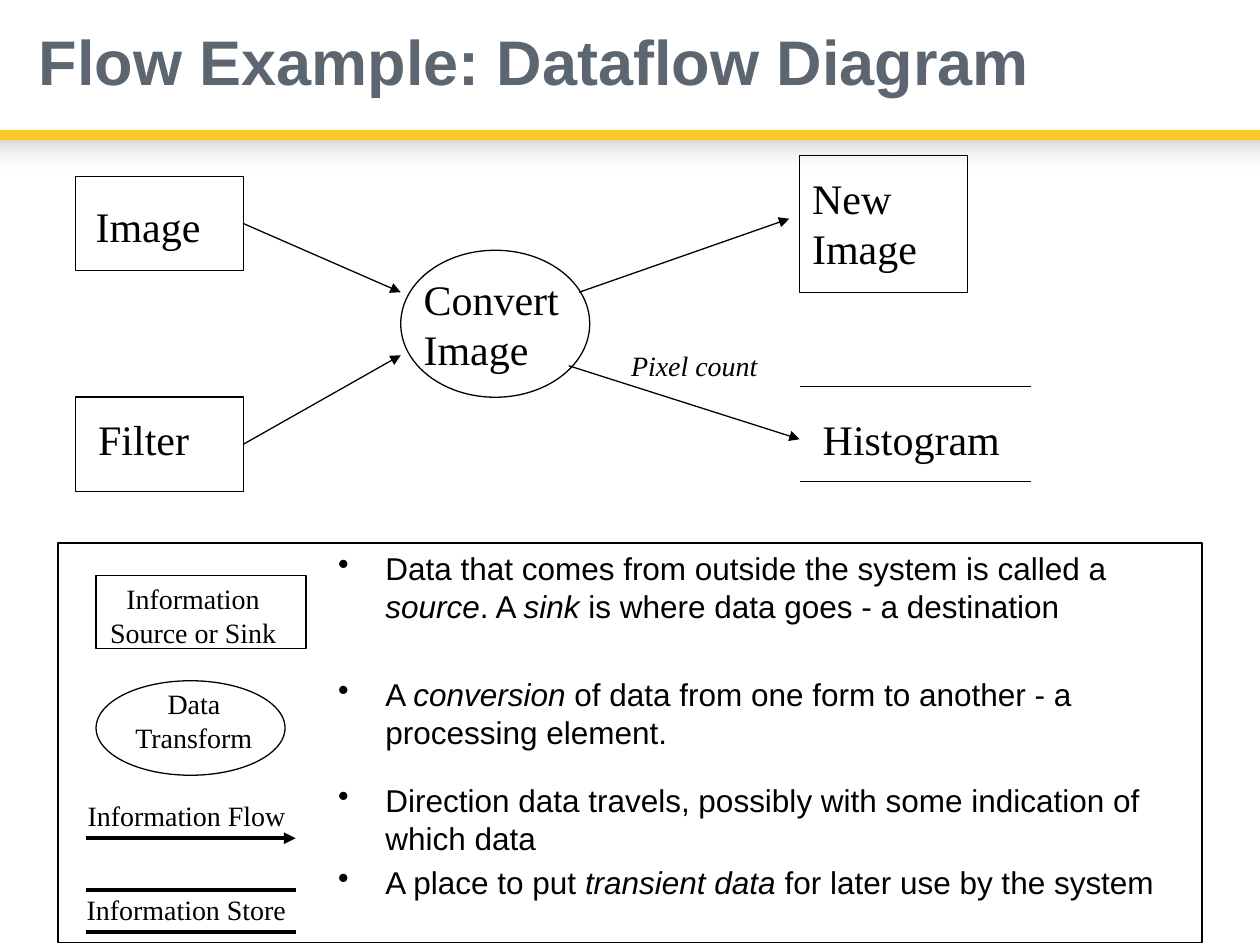
"""Build a slide that explains a dataflow diagram and its notation."""
import pptx
import pptx.dml.color
import pptx.enum.shapes
import pptx.enum.text
import pptx.oxml.xmlchemy
import pptx.util

Pt = pptx.util.Pt
SHAPES = pptx.enum.shapes.MSO_SHAPE
ALIGN = pptx.enum.text.PP_ALIGN
ANCHOR = pptx.enum.text.MSO_ANCHOR

BLACK, GOLD, SLATE, SHADE, WHITE = "000000", "FFC627", "5C6670", "D9D9D9", "FFFFFF"
SANS, SERIF = "Arial", "Times New Roman"

TITLE = "Flow Example: Dataflow Diagram"
LEGEND_FRAME = (33.1, 310.3, 653.8, 228.2)
BULLETS = [
    (0, [("Data that comes from outside the system is called a ", False),
         ("source", True), (". A ", False), ("sink", True),
         (" is where data goes - a destination", False)]),
    (28.8, [("A ", False), ("conversion", True),
            (" of data from one form to another - a processing element.", False)]),
    (17.2, [("Direction data travels, possibly with some indication of which data", False)]),
    (3.6, [("A place to put ", False), ("transient data", True),
           (" for later use by the system", False)]),
]
NODES = {
    "image": (SHAPES.RECTANGLE, 43.2, 100.8, 96, 54),
    "filter": (SHAPES.RECTANGLE, 43.2, 226.8, 96, 54),
    "convert": (SHAPES.OVAL, 229, 143, 108, 84),
    "new image": (SHAPES.RECTANGLE, 457, 89, 96, 78),
    "legend source": (SHAPES.RECTANGLE, 54.9, 328.8, 120, 42),
    "legend transform": (SHAPES.OVAL, 54.9, 389, 108, 54),
}
LABELS = [
    ("Image", 47.6, 111, 81.4, 36, 24, False, ALIGN.LEFT),
    ("Filter", 49, 233, 67.7, 36, 24, False, ALIGN.LEFT),
    ("Convert\nImage", 235, 152.8, 98.6, 65, 24, False, ALIGN.LEFT),
    ("New\nImage", 457, 95, 81.4, 65, 24, False, ALIGN.LEFT),
    ("Histogram", 463, 233, 123.8, 36, 24, False, ALIGN.LEFT),
    ("Pixel count", 353.5, 195.8, 92.9, 26.6, 16, True, ALIGN.LEFT),
    ("Information\nSource or Sink", 54.9, 329, 110.9, 46, 16, False, ALIGN.CENTER),
    ("Data\nTransform", 69.8, 389, 82, 46, 16, False, ALIGN.CENTER),
    ("Information Flow", 43, 453, 128.9, 26.6, 16, False, ALIGN.LEFT),
    ("Information Store", 42.5, 506.5, 129.6, 26.6, 16, False, ALIGN.LEFT),
]
FLOWS = [
    ("image", 139.2, 127.8, 229, 167),
    ("filter", 139.2, 253.8, 229, 203),
    (None, 331, 167, 451, 125),
    (None, 325, 209, 457, 251),
]
STORE_LEFT, STORE_RIGHT, STORE_LINES = 457, 589, (221, 275)
KEY_LEFT, KEY_RIGHT, KEY_FLOW, KEY_STORE = 49, 169, 479, (508.5, 532.5)


def color(value):
    return pptx.dml.color.RGBColor.from_string(value)


def add_element(parent, tag, **attributes):
    element = pptx.oxml.xmlchemy.OxmlElement(tag)
    for name, value in attributes.items():
        element.set(name, value)
    parent.append(element)


def style(font, name, size, value, bold=False, italic=False):
    font.name, font.size = name, Pt(size)
    font.bold, font.italic = bold, italic
    font.color.rgb = color(value)


def add_shape(page, kind, left, top, width, height, fill=None, line=None):
    shape = page.shapes.add_shape(kind, Pt(left), Pt(top), Pt(width), Pt(height))
    shape.shadow.inherit = False
    if fill:
        shape.fill.solid()
        shape.fill.fore_color.rgb = color(fill)
    else:
        shape.fill.background()
    if line:
        shape.line.color.rgb = color(line)
        shape.line.width = Pt(0.75)
    else:
        shape.line.fill.background()
    return shape


def add_line(page, x1, y1, x2, y2, width=0.75, arrow=False):
    line = page.shapes.add_connector(
        pptx.enum.shapes.MSO_CONNECTOR.STRAIGHT, Pt(x1), Pt(y1), Pt(x2), Pt(y2))
    line.line.color.rgb = color(BLACK)
    line.line.width = Pt(width)
    properties = line._element.spPr
    if arrow:
        add_element(properties.xpath("./a:ln")[0], "a:tailEnd", type="triangle")
    add_element(properties, "a:effectLst")
    return line


def add_header(page):
    shade = add_shape(page, SHAPES.RECTANGLE, 0, 80, 720, 19.4)
    shade.fill.gradient()
    shade.fill.gradient_angle = 270
    for stop, value in zip(shade.fill.gradient_stops, (SHADE, WHITE)):
        stop.color.rgb = color(value)
    add_element(shade._element.xpath(".//a:gs/a:srgbClr")[-1], "a:alpha", val="0")
    add_shape(page, SHAPES.RECTANGLE, 0, 74.2, 720, 5.8, GOLD)
    box = page.shapes.add_textbox(Pt(15.1), Pt(0.7), Pt(685.4), Pt(73.4))
    box.text_frame.word_wrap = True
    box.text_frame.vertical_anchor = ANCHOR.MIDDLE
    box.text_frame.text = TITLE
    para = box.text_frame.paragraphs[0]
    para.line_spacing = 0.9
    style(para.runs[0].font, SANS, 36, SLATE, bold=True)


def add_legend(page):
    frame = add_shape(page, SHAPES.RECTANGLE, *LEGEND_FRAME, line=BLACK).text_frame
    frame.word_wrap = True
    frame.vertical_anchor = ANCHOR.TOP
    for index, (gap, spans) in enumerate(BULLETS):
        para = frame.add_paragraph() if index else frame.paragraphs[0]
        para.alignment = ALIGN.LEFT
        para.space_before = Pt(gap)
        properties = para._p.get_or_add_pPr()
        properties.set("marL", str(Pt(180)))
        properties.set("indent", str(Pt(-27)))
        add_element(properties, "a:buChar", char="•")
        for text, italic in spans:
            span = para.add_run()
            span.text = text
            style(span.font, SANS, 18, BLACK, italic=italic)


def add_label(page, text, left, top, width, height, size, italic, align):
    box = page.shapes.add_textbox(Pt(left), Pt(top), Pt(width), Pt(height))
    box.text_frame.text = text
    for para in box.text_frame.paragraphs:
        para.alignment = align
        style(para.runs[0].font, SERIF, size, BLACK, italic=italic)


def main():
    deck = pptx.Presentation()
    deck.slide_width, deck.slide_height = Pt(720), Pt(540)
    page = deck.slides.add_slide(deck.slide_layouts[6])
    add_header(page)
    add_legend(page)
    nodes = {name: add_shape(page, *place, line=BLACK) for name, place in NODES.items()}
    for source, *ends in FLOWS:
        flow = add_line(page, *ends, arrow=True)
        if source:
            flow.begin_connect(nodes[source], 3)
    for y in STORE_LINES:
        add_line(page, STORE_LEFT, y, STORE_RIGHT, y)
    add_line(page, KEY_LEFT, KEY_FLOW, KEY_RIGHT, KEY_FLOW, 2.25, arrow=True)
    for y in KEY_STORE:
        add_line(page, KEY_LEFT, y, KEY_RIGHT, y, 2.25)
    for label in LABELS:
        add_label(page, *label)
    deck.save("out.pptx")


if __name__ == "__main__":
    main()
